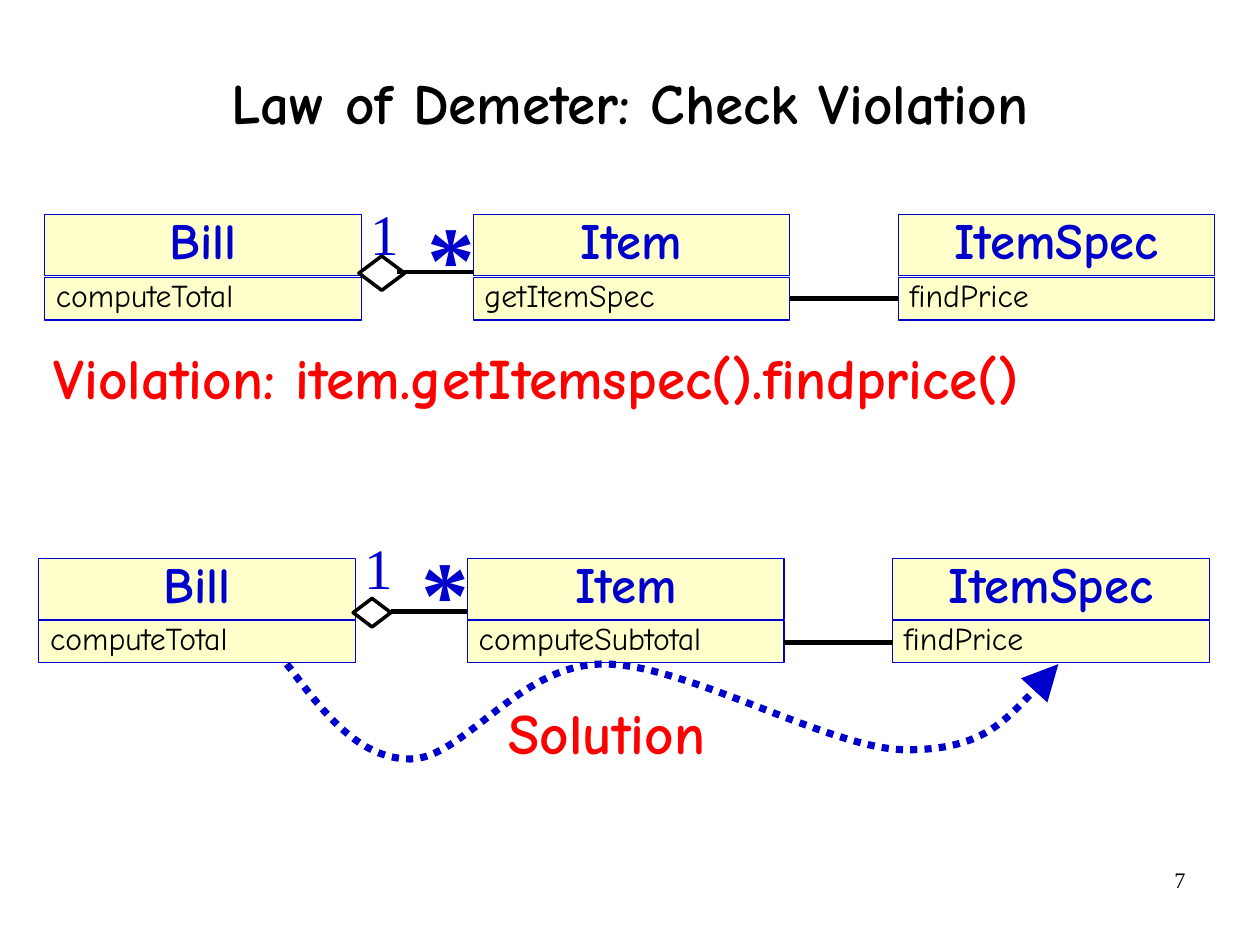
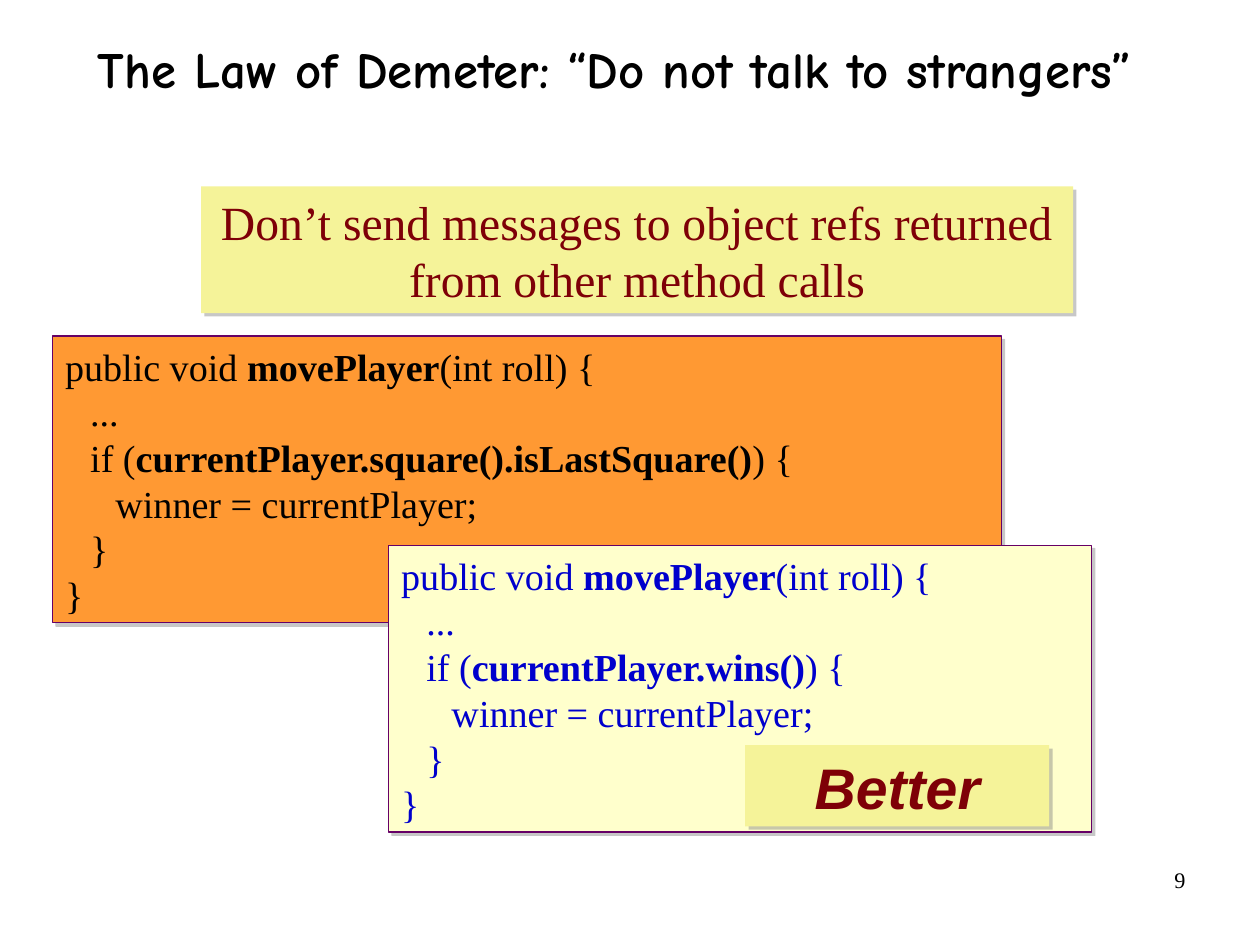
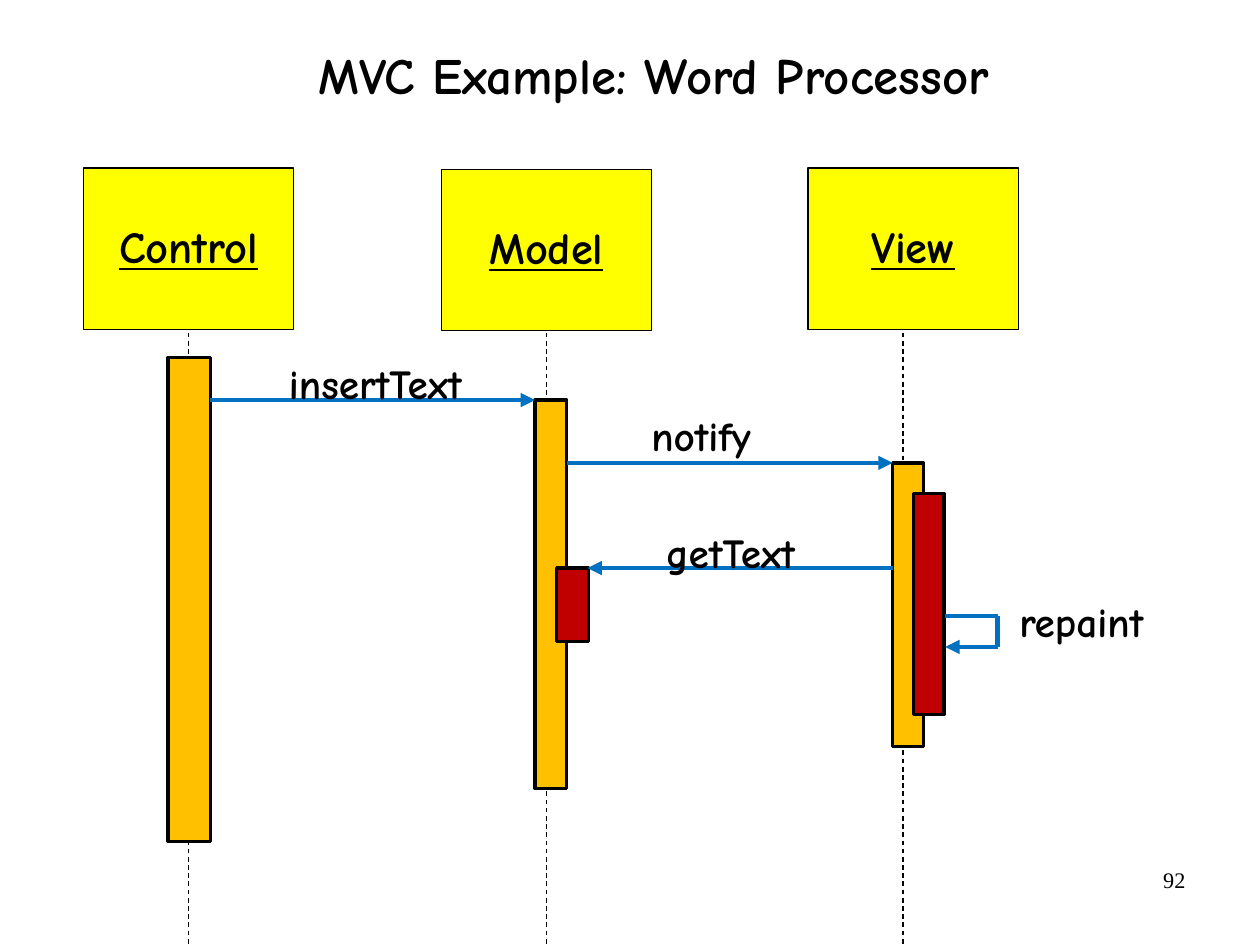
from dataclasses import dataclass
from typing import NamedTuple, Optional

from lxml.etree import SubElement
from pptx import Presentation
from pptx.dml.color import RGBColor
from pptx.enum.dml import MSO_LINE
from pptx.enum.shapes import MSO_CONNECTOR, MSO_SHAPE
from pptx.enum.text import MSO_ANCHOR, MSO_AUTO_SIZE, PP_ALIGN
from pptx.oxml.ns import qn
from pptx.util import Inches, Pt

COLORS = {
    "ink": "000000", "blue": "0000CC", "red": "FF0000", "cream": "FFFFCC",
    "sand": "F5F399", "maroon": "7E0007", "orange": "FF9933", "purple": "660066",
    "shadow": "808080", "yellow": "FFFF00", "amber": "FFC000", "crimson": "C00000",
    "arrow": "0070C0",
}
COMIC, TIMES, ARIAL = "Comic Neue", "Times New Roman", "Arial"
CM_PER_INCH = 2.54
SLIDE_W, SLIDE_H = 28 / CM_PER_INCH, 21 / CM_PER_INCH
THIN_INSETS, WIDE_INSETS = (0.1, 0.05), (0.11, 0.06)


class Box(NamedTuple):
    left: float
    top: float
    width: float
    height: float


class Point(NamedTuple):
    x: float
    y: float


class Run(NamedTuple):
    text: str
    bold: bool = False


@dataclass(frozen=True)
class Style:
    size: float
    font: str = COMIC
    color: str = "ink"
    bold: bool = False
    italic: bool = False
    underline: bool = False
    align: PP_ALIGN = PP_ALIGN.LEFT
    spacing: float = 1.0
    anchor: MSO_ANCHOR = MSO_ANCHOR.TOP
    insets: tuple[float, float] = THIN_INSETS
    wrap: bool = True
    tab: float = 0


@dataclass(frozen=True)
class Line:
    color: str
    width: float
    dash: Optional[MSO_LINE] = None
    arrow: Optional[str] = None


@dataclass(frozen=True)
class UmlDiagram:
    left: float
    top: float
    method_top: float
    link_y: float
    aggregation_y: float
    diamond: tuple[float, float]
    one_top: float
    many_top: float
    methods: tuple[str, str, str]


NUMBER = Style(14, TIMES, align=PP_ALIGN.RIGHT)
CLASS_NAME = Style(32, color="blue", bold=True, align=PP_ALIGN.CENTER, spacing=0.8)
METHOD = Style(20, spacing=0.8)
ONE = Style(36, TIMES, "blue", spacing=0.8)
MANY = Style(60, TIMES, "blue", bold=True, spacing=0.8)
REMARK = Style(36, color="red", bold=True, spacing=0.8)
ADVICE = Style(30, TIMES, "maroon", align=PP_ALIGN.CENTER, insets=WIDE_INSETS)
BETTER = Style(36, ARIAL, "maroon", bold=True, italic=True, align=PP_ALIGN.CENTER,
               insets=WIDE_INSETS)
ROLE = Style(28, bold=True, underline=True, align=PP_ALIGN.CENTER, spacing=0.9,
             anchor=MSO_ANCHOR.MIDDLE)
MESSAGE = Style(26, bold=True, spacing=0.9, wrap=False)

UML_BORDER = Line("blue", 0.75)
CODE_BORDER = Line("purple", 0.75)
LINK = Line("ink", 3)
BAR_BORDER = Line("ink", 2)
CALL = Line("arrow", 3, arrow="med")

DIAGRAMS = (
    UmlDiagram(0.39, 1.88, 2.43, 2.61, 2.38, (0.4, 0.3), 1.8, 1.88,
               ("computeTotal", "getItemSpec", "findPrice")),
    UmlDiagram(0.34, 4.89, 5.43, 5.62, 5.35, (0.33, 0.25), 4.72, 4.81,
               ("computeTotal", "computeSubtotal", "findPrice")),
)
CLASSES = ("Bill", "Item", "ItemSpec")
CLASS_OFFSETS = (0, 3.75, 7.47)
CLASS_W = 2.77


def apply(target, values: dict) -> None:
    for name, value in values.items():
        setattr(target, name, value)


def rgb(name: str) -> RGBColor:
    return RGBColor.from_string(COLORS[name])


def emu(box: Box) -> list:
    return [Inches(v) for v in box]


def write(sp, lines: list[list[Run]], style: Style) -> None:
    tf = sp.text_frame
    across, down = (Inches(v) for v in style.insets)
    apply(tf, {
        "word_wrap": style.wrap, "auto_size": MSO_AUTO_SIZE.NONE,
        "vertical_anchor": style.anchor, "margin_left": across,
        "margin_right": across, "margin_top": down, "margin_bottom": down,
    })
    for i, runs in enumerate(lines):
        p = tf.paragraphs[0] if i == 0 else tf.add_paragraph()
        apply(p, {"alignment": style.align, "line_spacing": style.spacing})
        if style.tab:
            tabs = SubElement(p._p.get_or_add_pPr(), qn("a:tabLst"))
            for n in range(1, 4):
                SubElement(tabs, qn("a:tab"), pos=str(Inches(style.tab * n)), algn="l")
        for run in runs:
            r = p.add_run()
            r.text = run.text
            apply(r.font, {
                "name": style.font, "size": Pt(style.size),
                "bold": style.bold or run.bold, "italic": style.italic,
                "underline": style.underline,
            })
            r.font.color.rgb = rgb(style.color)


def draw_line(ln, line: Line) -> None:
    ln.color.rgb = rgb(line.color)
    ln.width = Pt(line.width)
    if line.dash:
        ln.dash_style = line.dash
    if line.arrow:
        SubElement(ln._get_or_add_ln(), qn("a:tailEnd"), type="triangle",
                   w=line.arrow, len=line.arrow)


def add_text(s, box: Box, text: str, style: Style) -> None:
    write(s.shapes.add_textbox(*emu(box)), [[Run(text)]], style)


def add_box(s, box: Box, fill: Optional[str], line: Optional[Line] = None,
            lines: Optional[list[list[Run]]] = None, style: Optional[Style] = None,
            kind: MSO_SHAPE = MSO_SHAPE.RECTANGLE, shadow: bool = False) -> None:
    sp = s.shapes.add_shape(kind, *emu(box))
    sp.shadow.inherit = False
    if fill:
        sp.fill.solid()
        sp.fill.fore_color.rgb = rgb(fill)
    else:
        sp.fill.background()
    if line:
        draw_line(sp.line, line)
    else:
        sp.line.fill.background()
    if shadow:
        effects = sp._element.spPr.find(qn("a:effectLst"))
        outer = SubElement(effects, qn("a:outerShdw"), blurRad="0", dist=str(Pt(3)),
                           dir="2700000", algn="ctr", rotWithShape="0")
        color = SubElement(outer, qn("a:srgbClr"), val=COLORS["shadow"])
        SubElement(color, qn("a:alpha"), val="43000")
    if lines:
        write(sp, lines, style)


def add_line(s, start: Point, end: Point, line: Line) -> None:
    cn = s.shapes.add_connector(
        MSO_CONNECTOR.STRAIGHT, *(Inches(v) for v in (*start, *end)))
    draw_line(cn.line, line)
    SubElement(cn._element.spPr, qn("a:effectLst"))


def add_curve(s, points: list[Point], line: Line) -> None:
    start, *controls = [tuple(emu(point)) for point in points]
    fb = s.shapes.build_freeform(*start)
    fb.add_line_segments(controls, close=False)
    sp = fb.convert_to_shape()
    sp.shadow.inherit = False
    sp.fill.background()
    draw_line(sp.line, line)
    outline = next(sp._element.iter(qn("a:path")))
    segments = outline.findall(qn("a:lnTo"))
    for i in range(0, len(segments), 3):
        curve = SubElement(outline, qn("a:cubicBezTo"))
        for segment in segments[i:i + 3]:
            curve.append(segment[0])
            outline.remove(segment)


def add_slide(prs, title: str, box: Box, size: float, number: str,
              anchor: MSO_ANCHOR = MSO_ANCHOR.MIDDLE):
    s = prs.slides.add_slide(prs.slide_layouts[5])
    sp = s.shapes.title
    apply(sp, dict(zip(("left", "top", "width", "height"), emu(box))))
    write(sp, [[Run(title)]], Style(size, bold=True, align=PP_ALIGN.CENTER,
                                    spacing=0.88, anchor=anchor, insets=(0, 0)))
    add_text(s, Box(7.9, 7.53, 2.57, 0.57), number, NUMBER)
    return s


def add_diagram(s, d: UmlDiagram) -> None:
    lefts = [d.left + offset for offset in CLASS_OFFSETS]
    for left, name, method in zip(lefts, CLASSES, d.methods):
        add_box(s, Box(left, d.top, CLASS_W, 0.53), "cream", UML_BORDER,
                [[Run(name)]], CLASS_NAME)
        add_box(s, Box(left, d.method_top, CLASS_W, 0.37), "cream", UML_BORDER,
                [[Run(method)]], METHOD)
    bill, item, item_spec = lefts
    add_line(s, Point(item + CLASS_W, d.link_y), Point(item_spec, d.link_y), LINK)
    add_line(s, Point(bill + 3.08, d.aggregation_y), Point(item, d.aggregation_y), LINK)
    width, height = d.diamond
    add_box(s, Box(bill + 2.75, d.aggregation_y - height / 2 + 0.01, width, height),
            None, Line("ink", 2.25), kind=MSO_SHAPE.DIAMOND)
    add_text(s, Box(bill + 2.75, d.one_top, 0.42, 0.58), "1", ONE)
    add_text(s, Box(bill + 3.25, d.many_top, 0.42, 0.9), "*", MANY)


def build_violation(prs) -> None:
    s = add_slide(prs, "Law of Demeter: Check Violation",
                  Box(0.81, 0.57, 9.4, 0.73), 36, "7")
    for diagram in DIAGRAMS:
        add_diagram(s, diagram)
    add_curve(s, [
        Point(2.51, 5.81), Point(2.82, 6.22), Point(3.13, 6.64), Point(3.59, 6.64),
        Point(4.05, 6.64), Point(4.54, 5.82), Point(5.26, 5.81), Point(5.98, 5.79),
        Point(7.26, 6.56), Point(7.93, 6.56), Point(8.59, 6.56), Point(8.93, 6.18),
        Point(9.26, 5.81),
    ], Line("blue", 4.5, MSO_LINE.ROUND_DOT, arrow="lg"))
    add_text(s, Box(4.35, 6.17, 3, 0.58), "Solution", REMARK)
    add_text(s, Box(0.37, 3.06, 10.25, 0.58),
             "Violation: item.getItemspec().findprice()", REMARK)


def move_player(condition: str) -> list[list[Run]]:
    return [
        [Run("public void "), Run("movePlayer", True), Run("(int roll) {")],
        [Run("\t...")],
        [Run("\tif ("), Run(condition, True), Run(") {")],
        [Run("\t\twinner = currentPlayer;")],
        [Run("\t}")],
        [Run("}")],
    ]


def build_strangers(prs) -> None:
    s = add_slide(prs, "The Law of Demeter: “Do not talk to strangers”",
                  Box(0.68, 0.4, 9.4, 1.37), 32, "9", MSO_ANCHOR.TOP)
    add_box(s, Box(1.76, 1.63, 7.63, 1.11), "sand", lines=[[Run(
        "Don’t send messages to object refs returned from other method calls")]],
        style=ADVICE, shadow=True)
    for box, fill, color, condition in (
        (Box(0.46, 2.94, 8.3, 2.51), "orange", "ink",
         "currentPlayer.square().isLastSquare()"),
        (Box(3.4, 4.77, 6.15, 2.51), "cream", "blue", "currentPlayer.wins()"),
    ):
        code = Style(24, TIMES, color, insets=WIDE_INSETS, tab=0.22)
        add_box(s, box, fill, CODE_BORDER, move_player(condition), code, shadow=True)
    add_box(s, Box(6.52, 6.52, 2.66, 0.71), "sand", lines=[[Run("Better")]],
            style=BETTER, shadow=True)


def build_mvc(prs) -> None:
    s = add_slide(prs, "MVC Example: Word Processor", Box(0.76, 0, 9.92, 1.37), 32, "92")
    for center in (1.65, 4.78, 7.9):
        add_line(s, Point(center, 2.84), Point(center, SLIDE_H),
                 Line("ink", 0.75, MSO_LINE.DASH))
    for role, left, top in (("Control", 0.73, 1.47), ("Model", 3.86, 1.48),
                            ("View", 7.07, 1.47)):
        add_box(s, Box(left, top, 1.84, 1.41), "yellow", Line("ink", 0.75),
                [[Run(role)]], ROLE)
    for box, fill in (
        (Box(1.47, 3.13, 0.37, 4.23), "amber"),
        (Box(4.68, 3.5, 0.28, 3.4), "amber"),
        (Box(7.81, 4.05, 0.27, 2.48), "amber"),
        (Box(4.87, 4.97, 0.28, 0.64), "crimson"),
        (Box(7.99, 4.32, 0.27, 1.93), "crimson"),
    ):
        add_box(s, box, fill, BAR_BORDER)
    for start, end, line in (
        (Point(1.84, 3.5), Point(4.68, 3.5), CALL),
        (Point(4.96, 4.05), Point(7.81, 4.05), CALL),
        (Point(7.81, 4.97), Point(5.14, 4.97), CALL),
        (Point(8.27, 5.39), Point(8.73, 5.39), Line("arrow", 3)),
        (Point(8.73, 5.39), Point(8.73, 5.66), Line("arrow", 3)),
        (Point(8.73, 5.66), Point(8.27, 5.66), CALL),
    ):
        add_line(s, start, end, line)
    for text, box in (
        ("insertText", Box(2.43, 3.13, 1.74, 0.49)),
        ("notify", Box(5.6, 3.59, 1.07, 0.49)),
        ("getText", Box(5.73, 4.61, 1.36, 0.49)),
        ("repaint", Box(8.82, 5.22, 1.3, 0.49)),
    ):
        add_text(s, box, text, MESSAGE)


def main() -> None:
    prs = Presentation()
    apply(prs, {"slide_width": Inches(SLIDE_W), "slide_height": Inches(SLIDE_H)})
    for build in (build_violation, build_strangers, build_mvc):
        build(prs)
    prs.save("out.pptx")


if __name__ == "__main__":
    main()
